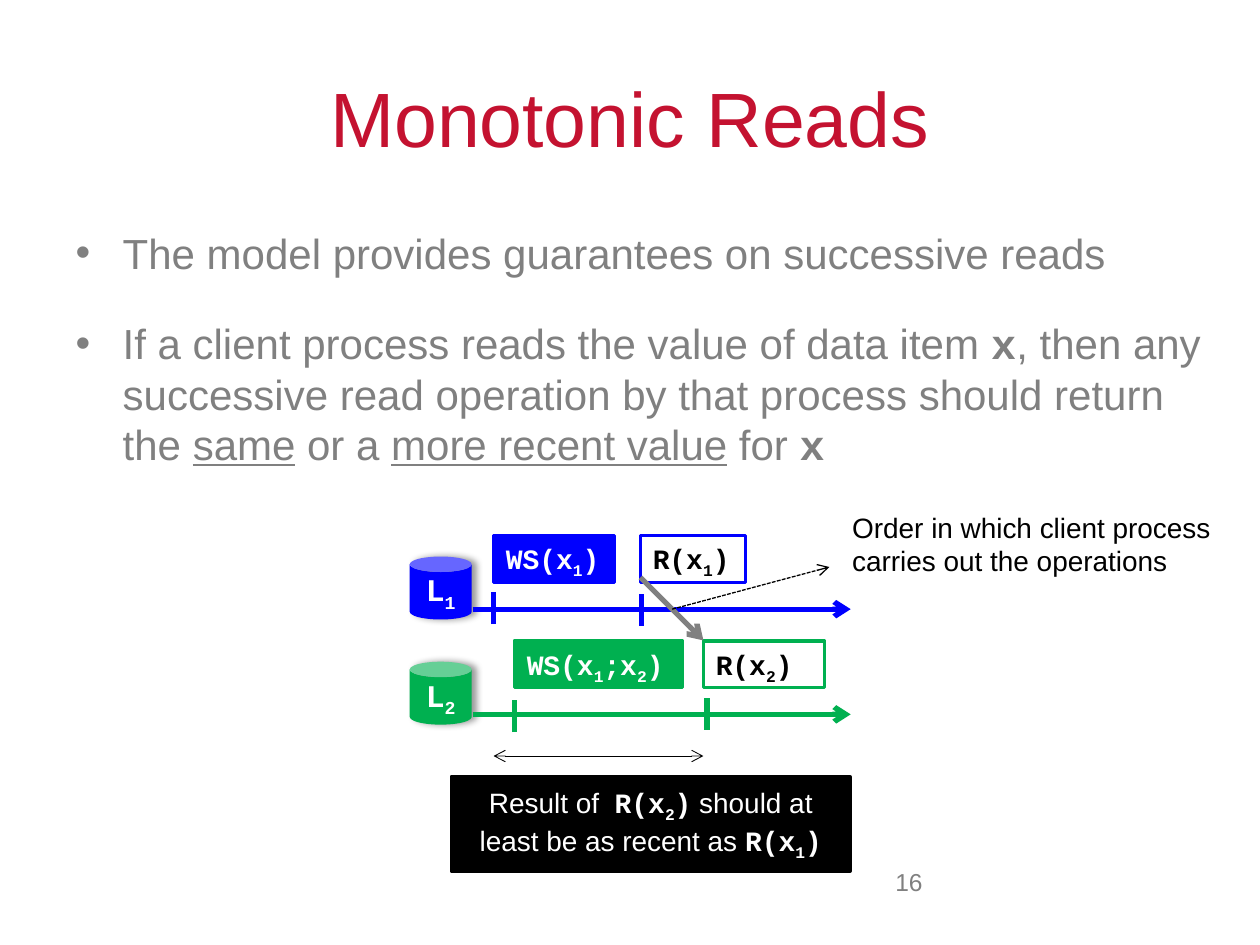
from dataclasses import dataclass

from lxml import etree
from pptx import Presentation, util as u
from pptx.dml.color import RGBColor
from pptx.enum import dml, shapes, text
from pptx.oxml import ns

Cm, Pt = u.Cm, u.Pt
BOX, CAN = shapes.MSO_SHAPE.RECTANGLE, shapes.MSO_SHAPE.CAN
LEFT, MID, RIGHT = text.PP_ALIGN.LEFT, text.PP_ALIGN.CENTER, text.PP_ALIGN.RIGHT


@dataclass
class Theme:
    sans: str = "Arial"
    mono: str = "Courier New"
    red: str = "C41230"
    grey: str = "808080"
    blue: str = "0000FF"
    green: str = "00B050"
    black: str = "000000"
    white: str = "FFFFFF"
    title: int = 44
    body: int = 24
    label: int = 18
    note: int = 16
    page: int = 14


def assign(obj, vals):
    for key, val in vals.items():
        setattr(obj, key, val)


def node(root, tag, **attrs):
    return etree.SubElement(root, ns.qn("a:" + tag), attrs)


def code(term):
    """Split a term such as R(x_1) into bold mono runs with subscripts."""
    head, *rest = term.split("_")
    runs = [(head, "code")]
    for part in rest:
        runs.append((part[0], "sub"))
        if part[1:]:
            runs.append((part[1:], "code"))
    return runs


class Deck:
    def __init__(self, theme):
        self.theme = theme
        self.prs = Presentation()
        assign(self.prs, dict(slide_width=Cm(25.4), slide_height=Cm(19.05)))
        self.slide = self.prs.slides.add_slide(self.prs.slide_layouts[1])

    def place(self, shape, spot):
        names = ("left", "top", "width", "height")
        assign(shape, dict(zip(names, map(Cm, spot))))

    def words(self, para, runs, size, color, align=LEFT):
        """Fill a paragraph with (text, style) runs."""
        para.alignment = align
        for part, style in runs:
            run = para.add_run()
            run.text = part
            mono = style in ("code", "sub")
            assign(run.font, dict(size=Pt(size), bold=mono, underline=style == "line",
                                  name=self.theme.mono if mono else self.theme.sans))
            run.font.color.rgb = RGBColor.from_string(color)
            if style == "sub":
                run.font._element.set("baseline", "-25000")

    def title(self, name, spot):
        shape = self.slide.shapes.title
        self.place(shape, spot)
        frame = shape.text_frame
        assign(frame, dict(vertical_anchor=text.MSO_ANCHOR.MIDDLE,
                           auto_size=text.MSO_AUTO_SIZE.NONE))
        self.words(frame.paragraphs[0], [(name, "")],
                   self.theme.title, self.theme.red, MID)

    def bullets(self, items, spot, gap):
        shape = self.slide.placeholders[1]
        self.place(shape, spot)
        frame = shape.text_frame
        frame.auto_size = text.MSO_AUTO_SIZE.NONE
        for num, runs in enumerate(items):
            para = frame.add_paragraph() if num else frame.paragraphs[0]
            props = para._p.get_or_add_pPr()
            props.set("marL", str(Cm(0.95)))
            props.set("indent", str(-Cm(0.95)))
            node(props, "buFont", typeface=self.theme.sans)
            node(props, "buChar", char="•")
            para.space_before = Pt(gap if num else 0)
            self.words(para, runs, self.theme.body, self.theme.grey)

    def label(self, runs, spot, size, color, align=LEFT):
        shape = self.slide.shapes.add_textbox(*map(Cm, spot))
        shape.text_frame.word_wrap = True
        self.words(shape.text_frame.paragraphs[0], runs, size, color, align)

    def shape(self, kind, runs, spot, fill, line=None, size=16, color="FFFFFF",
              align=LEFT, anchor=text.MSO_ANCHOR.TOP):
        shape = self.slide.shapes.add_shape(kind, *map(Cm, spot))
        shape.shadow.inherit = False
        shape.fill.solid()
        shape.fill.fore_color.rgb = RGBColor.from_string(fill)
        if line:
            shape.line.color.rgb = RGBColor.from_string(line)
            shape.line.width = Pt(2)
        else:
            shape.line.fill.background()
        assign(shape.text_frame, dict(word_wrap=True, vertical_anchor=anchor))
        self.words(shape.text_frame.paragraphs[0], runs, size, color, align)
        return shape

    def store(self, name, spot, fill):
        shape = self.shape(CAN, code(name), spot, fill, size=self.theme.label,
                           color=self.theme.white, align=MID,
                           anchor=text.MSO_ANCHOR.MIDDLE)
        glow = node(shape._element.spPr.find(ns.qn("a:effectLst")), "outerShdw",
                    blurRad=str(Pt(4)), dist=str(Pt(3)), dir="0", rotWithShape="0")
        node(node(glow, "srgbClr", val=self.theme.black), "alpha", val="40000")

    def line(self, start, end, color, width=3, ends=(), dash=None):
        """Draw a line; ends names the arrowed ends, headEnd and tailEnd."""
        link = self.slide.shapes.add_connector(
            shapes.MSO_CONNECTOR.STRAIGHT, *map(Cm, (*start, *end)))
        link.line.color.rgb = RGBColor.from_string(color)
        link.line.width = Pt(width)
        if dash:
            link.line.dash_style = dash
        for tag in ends:
            node(link.line._ln, tag, type="arrow")
        node(link._element.spPr, "effectLst")


def main():
    theme = Theme()
    deck = Deck(theme)
    deck.title("Monotonic Reads", (1.27, 0.76, 22.86, 3.18))
    deck.bullets([
        [("The model provides guarantees on successive reads", "")],
        [("If a client process reads the value of data item ", ""), ("x", "code"),
         (", then any successive read operation by that process should return the ", ""),
         ("same", "line"), (" or a ", ""), ("more recent value", "line"),
         (" for ", ""), ("x", "code")],
    ], (1.27, 4.45, 23.29, 12.57), 23)
    deck.label([("16", "")], (16.51, 17.35, 2.34, 1.32), theme.page, theme.grey, RIGHT)

    # Each box: term, left, width, filled; each tick: left, top below the row's top
    rows = [
        ("L_1", theme.blue,
         [("WS(x_1)", 9.95, 2.44, True), ("R(x_1)", 12.91, 2.12, False)],
         [(9.95, 1.14), (12.93, 1.17)]),
        ("L_2", theme.green,
         [("WS(x_1;x_2)", 10.37, 3.39, True), ("R(x_2)", 14.18, 2.44, False)],
         [(10.37, 1.2), (14.25, 1.15)]),
    ]
    for num, (name, color, boxes, ticks) in enumerate(rows):
        top = 10.8 + 2.12 * num
        axis = top + 1.48
        deck.store(name, (8.26, top + 0.42, 1.25, 1.27), color)
        deck.line((9.53, axis), (17.15, axis), color, ends=["tailEnd"])
        for term, left, width, full in boxes:
            deck.shape(BOX, code(term), (left, top, width, 0.94),
                       color if full else theme.white, color, theme.note,
                       theme.white if full else theme.black)
        for left, drop in ticks:
            deck.line((left, top + drop + 0.64), (left, top + drop), color)

    deck.line((9.95, 15.24), (14.18, 15.24), theme.black, 0.5, ["headEnd", "tailEnd"])
    deck.shape(BOX, [("Result of  ", ""), *code("R(x_2)"),
                     (" should at least be as recent as ", ""), *code("R(x_1)")],
               (9.1, 15.66, 8.04, 1.9), theme.black, theme.black, theme.note,
               theme.white, MID, text.MSO_ANCHOR.MIDDLE)
    deck.line((12.91, 11.64), (14.18, 12.91), theme.grey, ends=["tailEnd"])
    deck.label([("Order in which client process carries out the operations", "")],
               (16.93, 10.16, 7.83, 1.63), theme.note, theme.black)
    deck.line((13.55, 12.28), (16.72, 11.43), theme.black, 0.75, ["tailEnd"],
              dml.MSO_LINE.SQUARE_DOT)
    deck.prs.save("out.pptx")


if __name__ == "__main__":
    main()
